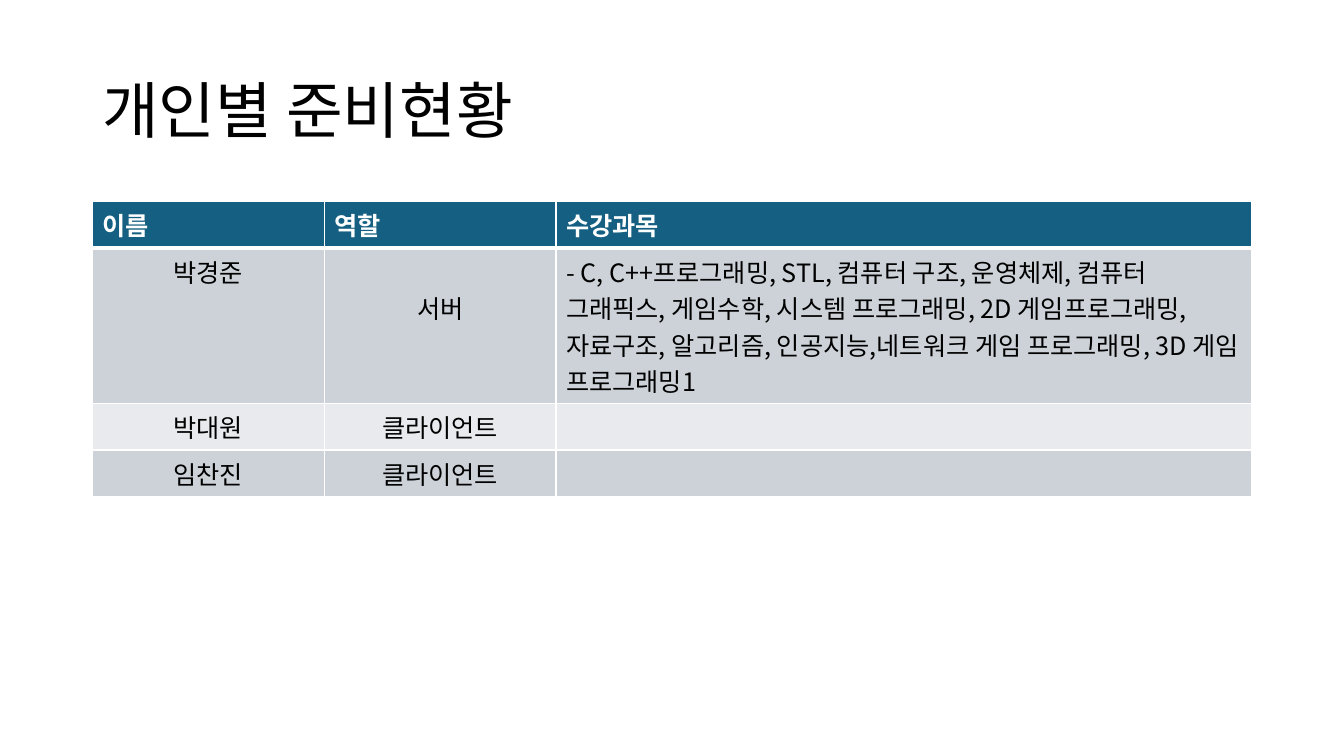
from lxml.etree import SubElement
from pptx import Presentation
from pptx.dml.color import RGBColor
from pptx.enum.text import MSO_ANCHOR as Anchor, PP_ALIGN as Align
from pptx.oxml.ns import qn
from pptx.util import Cm, Pt

WHITE = RGBColor(0xFF, 0xFF, 0xFF)
BLACK = RGBColor(0, 0, 0)
HEADER = RGBColor(0x15, 0x60, 0x82)
BANDS = (RGBColor(0xCC, 0xD2, 0xD8), RGBColor(0xE8, 0xEA, 0xED))
FONT = "Noto Sans CJK KR"

HEADINGS = ("이름", "역할", "수강과목")
SUBJECTS = (
    "- C, C++프로그래밍, STL, 컴퓨터 구조, 운영체제, 컴퓨터 그래픽스, 게임수학, "
    "시스템 프로그래밍, 2D 게임프로그래밍, 자료구조, 알고리즘, 인공지능,"
    "네트워크 게임 프로그래밍, 3D 게임 프로그래밍1"
)
MEMBERS = (
    ("박경준", "서버", SUBJECTS),
    ("박대원", "클라이언트", ""),
    ("임찬진", "클라이언트", ""),
)
COLUMN_SHARES = (0.2, 0.2, 0.6)
ROW_HEIGHTS = (1.17, 3.92, 1.17, 1.17)


def format_text(paragraph, size, color, bold=False):
    for run in paragraph.runs:
        run.font.name = FONT
        run.font.size = Pt(size)
        run.font.bold = bold
        run.font.color.rgb = color
        SubElement(run.font._element, qn("a:ea"), typeface=FONT)


def add_title(slide, left, top, width, height):
    frame = slide.shapes.add_textbox(left, top, width, height).text_frame
    frame.word_wrap = True
    frame.vertical_anchor = Anchor.MIDDLE
    frame.text = "개인별 준비현황"
    heading = frame.paragraphs[0]
    heading.line_spacing = 0.9
    format_text(heading, 44, BLACK)


def add_borders(cell, bottom):
    properties = cell._tc.get_or_add_tcPr()
    for side, weight in (("L", 1), ("R", 1), ("T", 1), ("B", bottom)):
        border = SubElement(properties, qn(f"a:ln{side}"), w=str(Pt(weight)))
        fill = SubElement(border, qn("a:solidFill"))
        SubElement(fill, qn("a:srgbClr"), val=str(WHITE))


def fill_cell(cell, text, background, color, bold, bottom):
    add_borders(cell, bottom)
    cell.fill.solid()
    cell.fill.fore_color.rgb = background
    cell.text = text
    format_text(cell.text_frame.paragraphs[0], 18, color, bold)


def add_members(slide, left, top, width):
    height = Cm(sum(ROW_HEIGHTS))
    members = slide.shapes.add_table(
        len(MEMBERS) + 1, len(HEADINGS), left, top, width, height
    ).table
    members.horz_banding = False
    for column, share in zip(members.columns, COLUMN_SHARES):
        column.width = int(width * share)
    for row, row_height in zip(members.rows, ROW_HEIGHTS):
        row.height = Cm(row_height)
    for column, heading in enumerate(HEADINGS):
        fill_cell(members.cell(0, column), heading, HEADER, WHITE, True, 3)
    for row, member in enumerate(MEMBERS, 1):
        band = BANDS[(row - 1) % 2]
        for column, text in enumerate(member):
            cell = members.cell(row, column)
            fill_cell(cell, text, band, BLACK, False, 1)
            if column < 2:
                cell.text_frame.paragraphs[0].alignment = Align.CENTER
    members.cell(1, 1).margin_top = Cm(1.04)


def main():
    deck = Presentation()
    deck.slide_width, deck.slide_height = Cm(33.87), Cm(19.05)
    slide = deck.slides.add_slide(deck.slide_layouts[6])
    left, width = Cm(2.33), Cm(29.21)
    add_title(slide, left, Cm(1.01), width, Cm(3.68))
    add_members(slide, left, Cm(5.08), width)
    deck.save("out.pptx")


if __name__ == "__main__":
    main()
